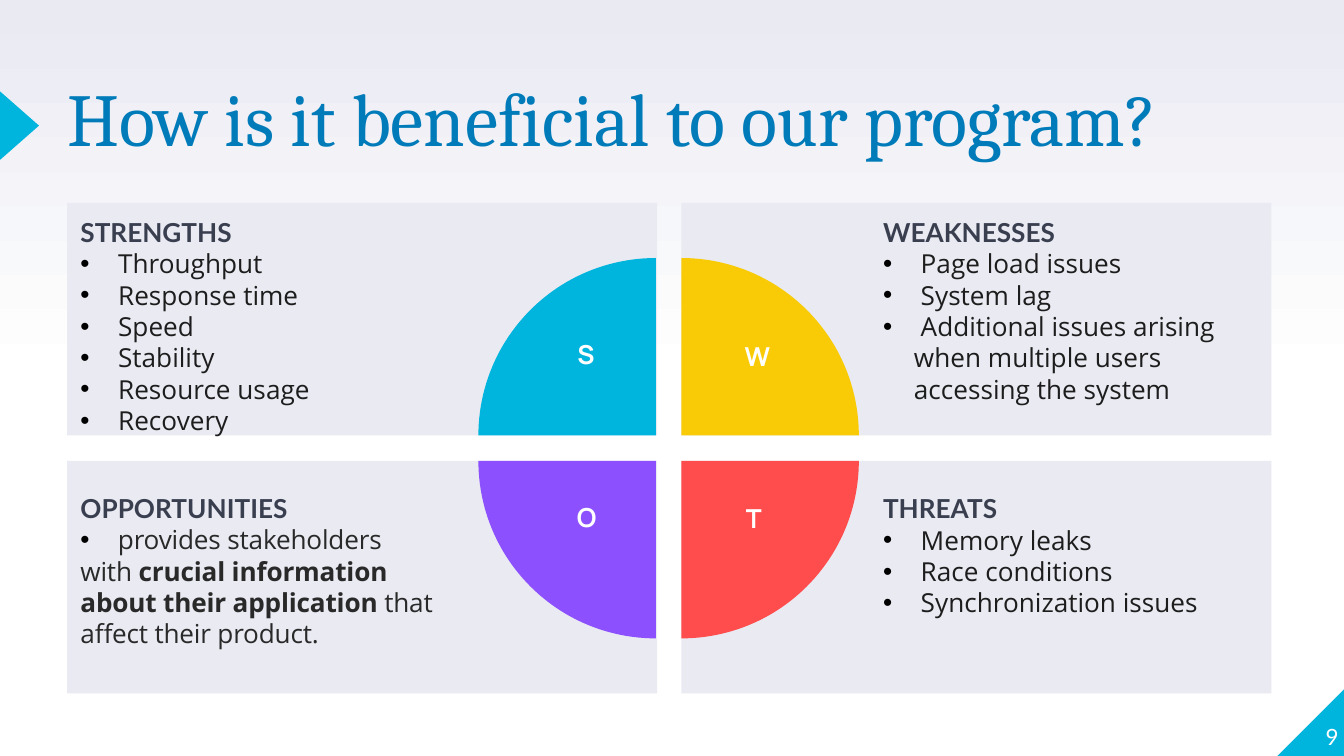
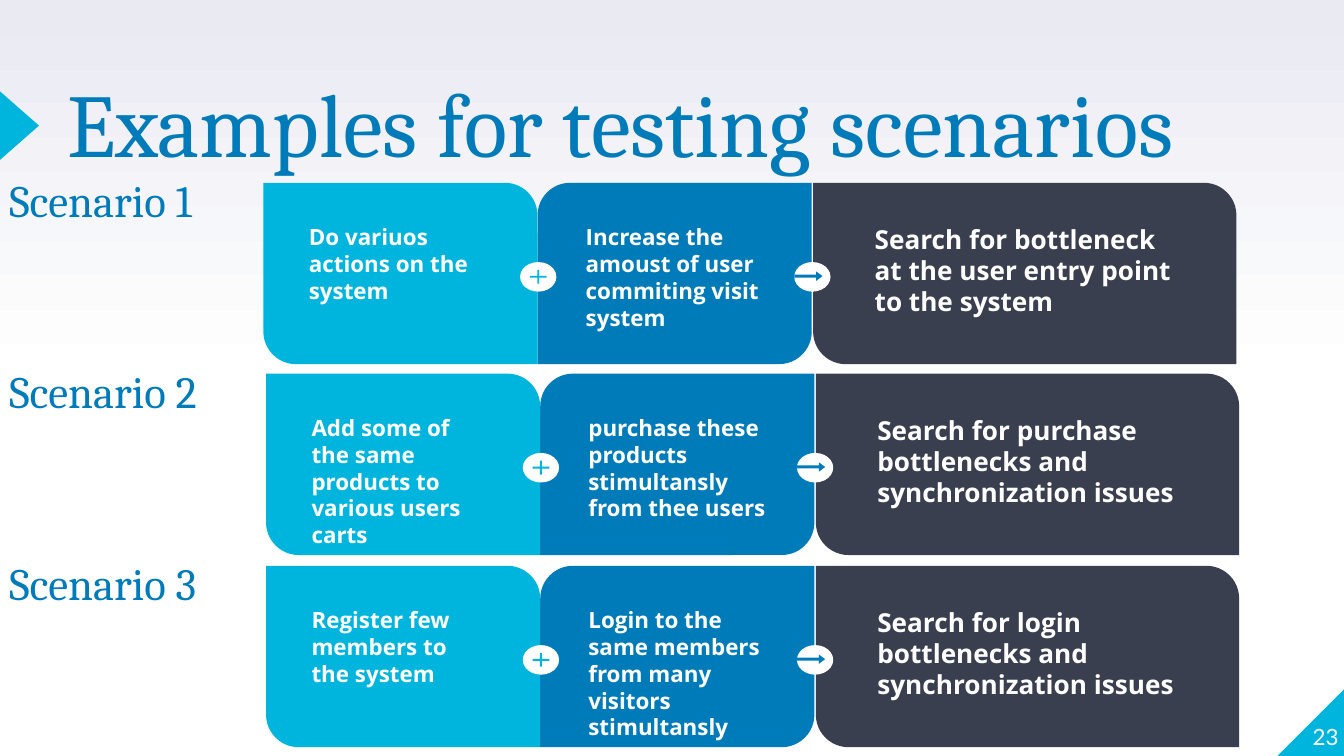
from dataclasses import dataclass
from copy import deepcopy

from lxml import etree
from pptx import Presentation
from pptx.dml.color import RGBColor
from pptx.enum.shapes import MSO_SHAPE
from pptx.enum.text import MSO_ANCHOR, PP_ALIGN
from pptx.oxml.ns import qn
from pptx.util import Inches, Pt

RECT, ELLIPSE, PIE = MSO_SHAPE.RECTANGLE, MSO_SHAPE.OVAL, MSO_SHAPE.PIE
TRIANGLE, CORNER = MSO_SHAPE.ISOSCELES_TRIANGLE, MSO_SHAPE.RIGHT_TRIANGLE
CARD, PLUS = MSO_SHAPE.ROUND_2_DIAG_RECTANGLE, MSO_SHAPE.MATH_PLUS
ARROW = MSO_SHAPE.RIGHT_ARROW
TOP, BOTTOM = MSO_ANCHOR.TOP, MSO_ANCHOR.BOTTOM
LEFT, CENTER, RIGHT = PP_ALIGN.LEFT, PP_ALIGN.CENTER, PP_ALIGN.RIGHT


@dataclass(frozen=True)
class Theme:
    """Colours, fonts and type sizes of the deck."""
    cyan: str = "00B5DD"
    blue: str = "007BB9"
    dark: str = "3A3F50"
    pale: str = "E9EAF2"
    white: str = "FFFFFF"
    black: str = "000000"
    yellow: str = "F9CB07"
    red: str = "FF4D4D"
    purple: str = "8C50FF"
    ink: str = "1D1D1D"
    soft_ink: str = "292929"
    serif: str = "Cambria"
    heading: str = "Lato"
    letter: str = "Manrope"
    body: str = "Open Sans"
    bullet: str = "Arial"
    label: int = 24
    text: int = 14
    small: int = 12


T = Theme()


def rgb(color):
    """Turn a hex string into a colour."""
    return RGBColor.from_string(color)


def write(tf, text, font=T.body, size=T.text, color=T.white, bold=False,
          align=LEFT, spacing=None, bullet=False, tracking=0):
    """Add a paragraph; parts between ** marks switch weight."""
    p = tf.paragraphs[0]
    if p.runs:
        p = tf.add_paragraph()
    p.alignment = align
    if spacing:
        p.line_spacing = spacing
    if bullet:
        pPr = p._p.get_or_add_pPr()
        pPr.set("marL", str(Inches(0.23)))
        pPr.set("indent", str(-Inches(0.23)))
        bu_clr = etree.SubElement(pPr, qn("a:buClr"))
        etree.SubElement(bu_clr, qn("a:srgbClr")).set("val", T.black)
        etree.SubElement(pPr, qn("a:buFont")).set("typeface", T.bullet)
        etree.SubElement(pPr, qn("a:buChar")).set("char", "•")
    for i, part in enumerate(text.split("**")):
        r = p.add_run()
        r.text = part
        r.font.name, r.font.size = font, Pt(size)
        r.font.bold = bold != bool(i % 2)
        r.font.color.rgb = rgb(color)
        if tracking:
            r._r.get_or_add_rPr().set("spc", str(tracking))


class Deck:
    """Holds the presentation and draws on the current slide."""

    def __init__(self):
        """Start a widescreen deck."""
        self.prs = Presentation()
        self.prs.slide_width = Inches(10)
        self.prs.slide_height = Inches(10 * 9 / 16)

    def slide(self, title, size, number):
        """Add a slide with background, marks, title and number."""
        s = self.prs.slides.add_slide(self.prs.slide_layouts[6])
        self.base = self.shapes = s.shapes
        self.background(s)
        self.shape(CORNER, 9.5, 5.12, 0.51, 0.51, T.cyan, rotation=270)
        self.shape(TRIANGLE, -0.11, 0.79, 0.51, 0.29, T.cyan, rotation=90)
        self.title(title, 0.5, 0.66, 9.31, 1.18, size)
        self.text(str(number), 9.46, 5.07, 0.5, 0.51, margins=(0, 0, 0, 0),
                  anchor=BOTTOM, font=T.heading, size=T.small, align=RIGHT)

    def background(self, s):
        """Fade from white below to pale at the top."""
        fill = s.background.fill
        fill.gradient()
        fill.gradient_angle = 90
        for stop, at, color in zip(fill.gradient_stops, (0.5, 1), (T.white, T.pale)):
            stop.position = at
            stop.color.rgb = rgb(color)
        stops = s.element.find(".//" + qn("a:gsLst"))
        first = deepcopy(stops[0])
        first.set("pos", "0")
        stops.insert(0, first)

    def group(self):
        """Put the next elements in a new group."""
        self.shapes = self.base.add_group_shape().shapes

    def shape(self, kind, x, y, w, h, fill, rotation=0, adj=()):
        """Draw a flat preset shape."""
        sp = self.shapes.add_shape(kind, Inches(x), Inches(y), Inches(w), Inches(h))
        sp.shadow.inherit = False
        sp.fill.solid()
        sp.fill.fore_color.rgb = rgb(fill)
        sp.line.fill.background()
        sp.rotation = rotation
        for i, value in enumerate(adj):
            sp.adjustments[i] = value
        return sp

    def frame(self, sp, margins, anchor):
        """Set up the text frame of a shape."""
        tf = sp.text_frame
        tf.word_wrap = True
        tf.vertical_anchor = anchor
        (tf.margin_left, tf.margin_top,
         tf.margin_right, tf.margin_bottom) = map(Inches, margins)
        return tf

    def text(self, text, x, y, w, h, margins=(0.1, 0.1, 0.1, 0.1), anchor=TOP, **style):
        """Place a text box of one paragraph."""
        sp = self.shapes.add_textbox(Inches(x), Inches(y), Inches(w), Inches(h))
        write(self.frame(sp, margins, anchor), text, **style)

    def title(self, text, x, y, w, h, size):
        """Place a tight blue serif heading."""
        self.text(text, x, y, w, h, margins=(0, 0, 0, 0), font=T.serif,
                  size=size, color=T.blue, spacing=0.8)

    def panel(self, x, y, margins, anchor, heading, bullets, tail=None, **style):
        """Draw a pale panel with a heading, bullets and closing text."""
        sp = self.shape(RECT, x, y, 4.39, 1.73, T.pale)
        tf = self.frame(sp, margins, anchor)
        write(tf, heading, font=T.heading, color=T.dark, bold=True)
        style = {"color": T.ink, **style}
        for item in bullets:
            write(tf, " " + item, bullet=True, **style)
        if tail:
            write(tf, tail, **style)

    def quarter(self, x, y, fill, rotation):
        """Draw a quarter of the central disc."""
        self.shape(PIE, x, y, 2.64, 2.64, fill, rotation, adj=(108, 162))

    def badge(self, x, y):
        """Draw a white oval that joins two cards."""
        self.shape(ELLIPSE, x, y, 0.27, 0.22, T.white)

    def scenario(self, name, x, y, first, second, result):
        """Draw a row of three joined cards and its name."""
        self.group()
        cards = (
            (second, 2.04, 2.04, T.blue, (0.18, 0), 2.3, 1.53, T.small),
            (first, 0, 2.04, T.cyan, (0, 0.18), 0.24, 1.5, T.small),
            (result, 4.09, 3.15, T.dark, (0, 0.18), 4.45, 2.54, T.text),
        )
        for text, dx, w, fill, adj, text_dx, text_w, size in cards:
            self.shape(CARD, x + dx, y, w, 1.35, fill, adj=adj)
            self.text(text, x + text_dx, y + 0.2, text_w, 0.4, size=size, bold=True)
        self.badge(x + 3.95, y + 0.59)
        self.shape(ARROW, x + 3.95, y + 0.66, 0.21, 0.07, T.blue, adj=(0.32, 0.67))
        self.badge(x + 1.91, y + 0.59)
        self.shape(PLUS, x + 1.96, y + 0.63, 0.17, 0.14, T.cyan, adj=(0.1,))
        self.shapes = self.base
        self.title(name, 0.07, y, 1.67, 0.39, T.label)


def swot_slide(deck):
    """Build the four panels around the divided disc."""
    deck.slide("How is it beneficial to our program?", 40, 9)
    left, right, upper, lower = 0.5, 5.07, 1.51, 3.43
    deck.panel(left, upper, (0.1, 0.1, 1.5, 0.1), TOP, "STRENGTHS",
               ("Throughput", "Response time", "Speed", "Stability",
                "Resource usage", "Recovery"))
    deck.panel(right, upper, (1.5, 0.1, 0.1, 0.1), TOP, "WEAKNESSES",
               ("Page load issues", "System lag",
                "Additional issues arising when multiple users accessing the system"))
    deck.panel(left, lower, (0.1, 0.1, 1.5, 0.33), BOTTOM, "OPPORTUNITIES",
               ("provides stakeholders",),
               "with **crucial information about their application** that affect their product.",
               color=T.soft_ink, tracking=-10)
    deck.panel(right, lower, (1.5, 0.1, 0.1, 0.56), BOTTOM, "THREATS",
               ("Memory leaks", "Race conditions", "Synchronization issues"))
    quarters = ((3.56, 1.92, T.cyan), (3.75, 1.92, T.yellow),
                (3.75, 2.11, T.red), (3.56, 2.11, T.purple))
    for i, (x, y, fill) in enumerate(quarters):
        deck.quarter(x, y, fill, 90 * i)
    letters = (("S", 4.17, 2.47, 0.38), ("W", 5.28, 2.48, 0.71),
               ("O", 4.13, 3.68, 0.47), ("T", 5.41, 3.69, 0.4))
    for letter, x, y, w in letters:
        deck.text(letter, x, y, w, 0.48, margins=(0.1, 0.05, 0.1, 0.05),
                  font=T.letter, bold=True, align=CENTER)


def scenarios_slide(deck):
    """Build the three rows of testing scenarios."""
    deck.slide("Examples for testing scenarios", 48, 23)
    rows = (
        (1.96, 1.36, "Do variuos actions on the system",
         "Increase the amoust of user commiting visit system",
         "Search for bottleneck at the user entry point to the system"),
        (1.98, 2.78, "Add some of the same products to various users carts",
         "purchase these products stimultansly from thee users",
         "Search for purchase bottlenecks and synchronization issues"),
        (1.98, 4.21, "Register few members to the system",
         "Login to the same members from many visitors stimultansly",
         "Search for login bottlenecks and synchronization issues"),
    )
    for i, row in enumerate(rows, 1):
        deck.scenario(f"Scenario {i}", *row)


def main():
    """Build and save the deck."""
    deck = Deck()
    swot_slide(deck)
    scenarios_slide(deck)
    deck.prs.save("out.pptx")


if __name__ == "__main__":
    main()
